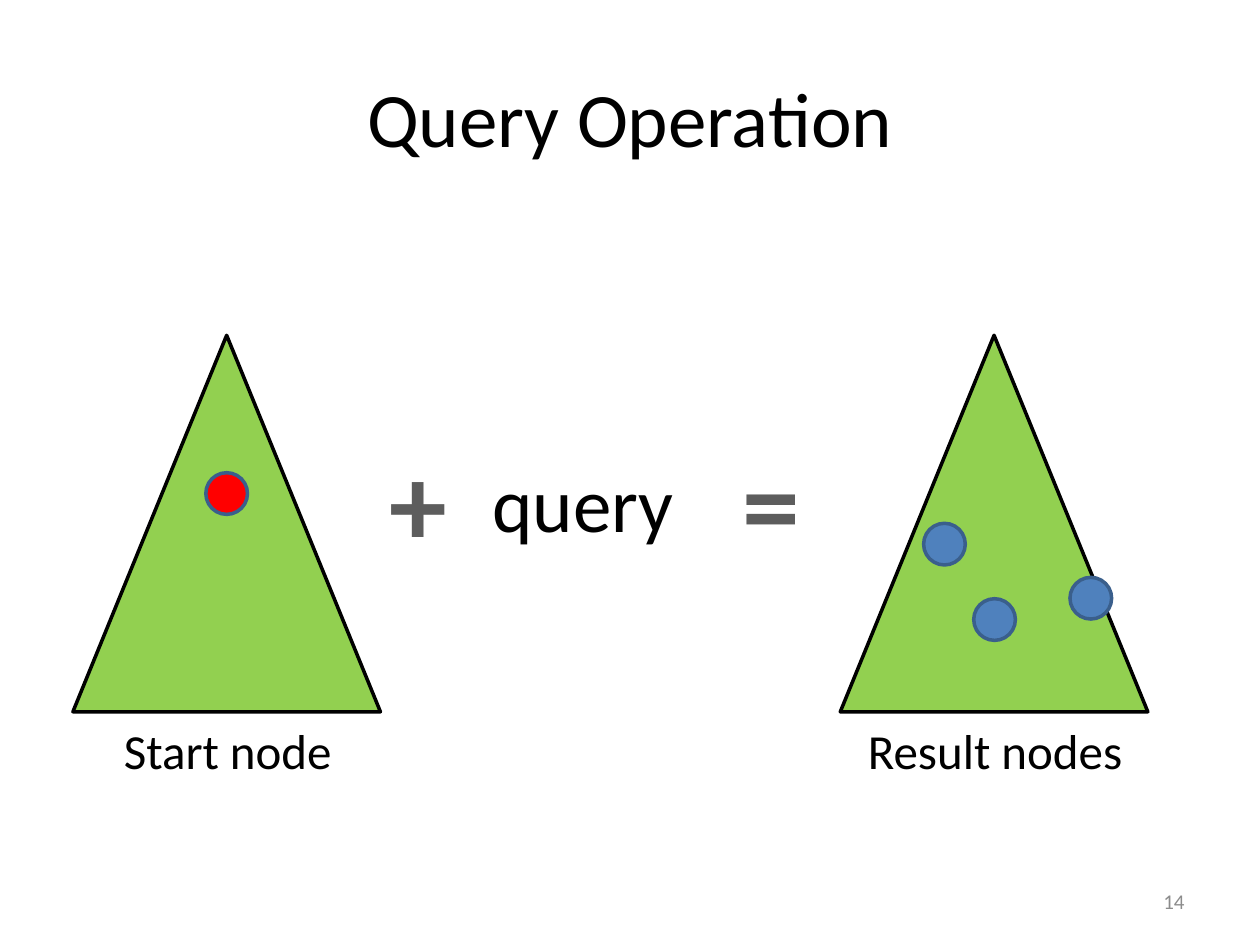
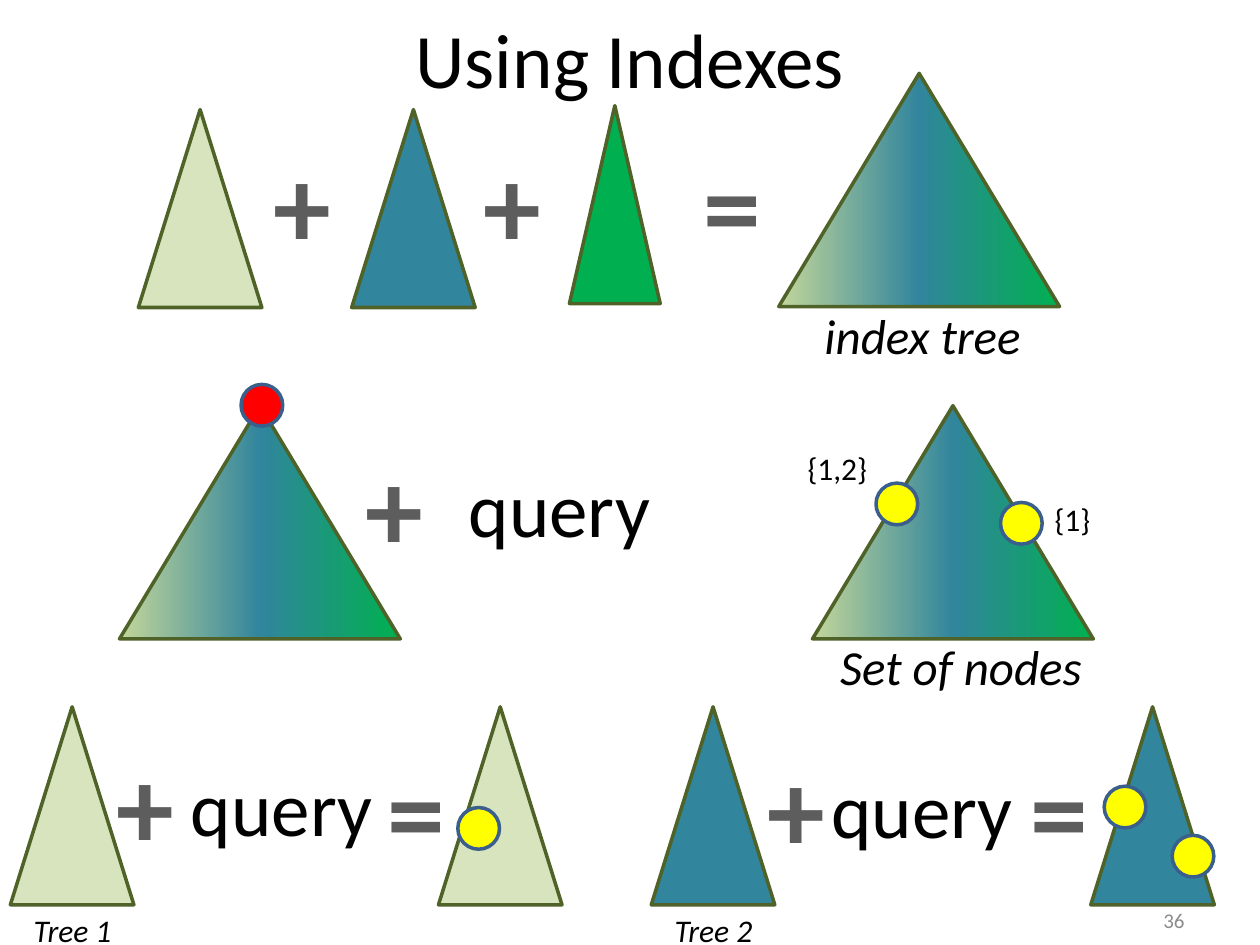
from copy import deepcopy
from dataclasses import dataclass

from pptx import Presentation
from pptx.dml.color import RGBColor as RGB
from pptx.enum.shapes import MSO_SHAPE as SHAPE
from pptx.enum.text import MSO_ANCHOR as ANCHOR, MSO_AUTO_SIZE as AUTO, PP_ALIGN as ALIGN
from pptx.oxml.ns import qn
from pptx.util import Cm, Pt


@dataclass(frozen=True)
class Theme:
    font: str = "Calibri"
    ink: str = "000000"
    sign: str = "5D5D5D"
    number: str = "8C8C8C"
    lime: str = "92D050"
    pale: str = "D7E4BD"
    teal: str = "31859C"
    green: str = "00B050"
    index: tuple = ("C3D69B", "31859C", "00B050")
    tree_line: str = "4F6228"
    node_line: str = "3A5F8C"
    start: str = "FF0000"
    result: str = "4F81BD"
    hit: str = "FFFF00"
    line_pt: float = 2
    sign_pt: int = 66
    title_pt: int = 44
    caption_pt: int = 28
    label_pt: int = 18
    number_pt: int = 12


T = Theme()
SIGN = (1.68, 3.07)
WIDE_SIGN = (2.36, 5.05)
CAPTION = (5.72, 1.45)
LABEL_H = 1.02
NODE = 0.84
FIXED_MIDDLE = {"vertical_anchor": ANCHOR.MIDDLE, "auto_size": AUTO.NONE}


class Deck:
    def __init__(self):
        self.prs = Presentation()
        self.prs.slide_width, self.prs.slide_height = Cm(25.4), Cm(19.05)
        self.slide = None

    def new_slide(self, title, title_y):
        self.slide = self.prs.slides.add_slide(self.prs.slide_layouts[6])
        self.text(title, 1.27, title_y, 22.86, 3.18, T.title_pt,
                  align=ALIGN.CENTER, frame=FIXED_MIDDLE)

    def number(self, n, y=17.65):
        self.text(str(n), 18.21, y, 5.92, LABEL_H, T.number_pt, color=T.number,
                  align=ALIGN.RIGHT, frame=FIXED_MIDDLE)

    def text(self, words, x, y, w, h, size, color=T.ink, align=ALIGN.LEFT,
             frame=None, **font):
        box = self.slide.shapes.add_textbox(Cm(x), Cm(y), Cm(w), Cm(h))
        tf = box.text_frame
        settings = {"word_wrap": True, "auto_size": AUTO.SHAPE_TO_FIT_TEXT}
        for name, value in {**settings, **(frame or {})}.items():
            setattr(tf, name, value)
        p = tf.paragraphs[0]
        p.alignment = align
        r = p.add_run()
        r.text = words
        for name, value in {"name": T.font, "size": Pt(size), **font}.items():
            setattr(r.font, name, value)
        r.font.color.rgb = RGB.from_string(color)

    def label(self, words, x, y, w, h=LABEL_H, size=T.label_pt, frame=None, **font):
        """Text on one line that never wraps."""
        self.text(words, x, y, w, h, size,
                  frame={"word_wrap": False, **(frame or {})}, **font)

    def caption(self, words, x, y, **font):
        self.text(words, x, y, *CAPTION, T.caption_pt, align=ALIGN.CENTER, **font)

    def sign(self, symbol, x, y, size=SIGN):
        self.label(symbol, x, y, *size, T.sign_pt, color=T.sign,
                   align=ALIGN.CENTER, bold=True)

    def plus_query(self, x, y, gap=2.09):
        """A plus sign, then the word query starting gap to its right."""
        self.label("query", x + gap, y + 0.5, 4.19, 2.13, T.title_pt)
        self.sign("+", x, y)

    def shape(self, kind, x, y, w, h, fill, line):
        s = self.slide.shapes.add_shape(kind, Cm(x), Cm(y), Cm(w), Cm(h))
        s.shadow.inherit = False
        s.line.color.rgb = RGB.from_string(line)
        s.line.width = Pt(T.line_pt)
        if isinstance(fill, tuple):
            self.gradient(s, fill)
        else:
            s.fill.solid()
            s.fill.fore_color.rgb = RGB.from_string(fill)

    def gradient(self, s, colors):
        """Left-to-right gradient with evenly spaced stops."""
        s.fill.gradient()
        s.fill.gradient_angle = 0
        stops = s._element.spPr.find(".//" + qn("a:gsLst"))
        while len(stops) < len(colors):
            stops.append(deepcopy(stops[-1]))
        for i, (stop, color) in enumerate(zip(s.fill.gradient_stops, colors)):
            stop.position = i / (len(colors) - 1)
            stop.color.rgb = RGB.from_string(color)

    def tree(self, x, y, fill, w=2.49, h=3.99, line=T.tree_line):
        self.shape(SHAPE.ISOSCELES_TRIANGLE, x, y, w, h, fill, line)

    def index_tree(self, x, y):
        self.tree(x, y, T.index, 5.66, 4.7)

    def nodes(self, color, *places):
        for x, y in places:
            self.shape(SHAPE.OVAL, x, y, NODE, NODE, color, T.node_line)


def query_operation(d):
    d.new_slide("Query Operation", 0.76)
    for x, words in ((1.47, "Start node"), (16.94, "Result nodes")):
        d.tree(x, 6.76, T.lime, 6.2, 7.59, T.ink)
        d.caption(words, x + 0.26, 14.4)
    d.plus_query(7.59, 8.56)
    d.sign("=", 14.71, 8.56)
    d.nodes(T.result, (18.62, 10.55), (19.63, 12.07), (21.57, 11.64))
    d.nodes(T.start, (4.15, 9.53))
    d.number(14)


def build_index_row(d):
    d.tree(2.79, 2.21, T.pale)
    d.tree(7.09, 2.21, T.teal)
    d.tree(11.48, 2.13, T.green, w=1.83)
    d.index_tree(15.7, 1.48)
    for symbol, x in (("+", 4.91), ("+", 9.15), ("=", 13.59)):
        d.sign(symbol, x, 2.56, WIDE_SIGN)
    insets = {"margin_left": Cm(0.08), "margin_right": Cm(0.08),
              "margin_top": Cm(0.03), "margin_bottom": Cm(0.03)}
    d.label("index tree", 16.54, 6.12, 4.14, 1.27, T.caption_pt, insets, italic=True)


def query_index_row(d):
    d.index_tree(2.41, 8.18)
    d.index_tree(16.38, 8.18)
    d.plus_query(7.11, 8.66)
    d.nodes(T.hit, (17.66, 9.74), (20.17, 10.13))
    d.nodes(T.start, (4.86, 7.75))
    d.caption("Set of nodes", 16.51, 12.7, italic=True)
    d.label("{1}", 21.01, 9.96, 1.24)
    d.label("{1,2}", 16.03, 8.92, 1.73)


def query_tree(d, name, fill, tree_x, plus_x, plus_y, gap, equals_x, result_x, hits):
    d.tree(tree_x, 14.25, fill)
    d.label(name, tree_x + 0.22, 18.24, 2.11, italic=True)
    d.plus_query(plus_x, plus_y, gap)
    d.sign("=", equals_x, 14.78, WIDE_SIGN)
    d.tree(result_x, 14.25, fill)
    d.nodes(T.hit, *hits)


def using_indexes(d):
    d.new_slide("Using Indexes", -0.43)
    build_index_row(d)
    query_index_row(d)
    query_tree(d, "Tree 1", T.pale, 0.21, 2.08, 14.68, 1.52, 7.21, 8.84,
               [(9.23, 16.28)])
    query_tree(d, "Tree 2", T.teal, 13.13, 15.21, 14.73, 1.3, 20.17, 21.99,
               [(22.26, 15.85), (23.63, 16.84)])
    # The bottom row of trees reaches the usual place, so the number goes below it.
    d.number(36, y=18.03)


def main():
    d = Deck()
    query_operation(d)
    using_indexes(d)
    d.prs.save("out.pptx")


if __name__ == "__main__":
    main()
